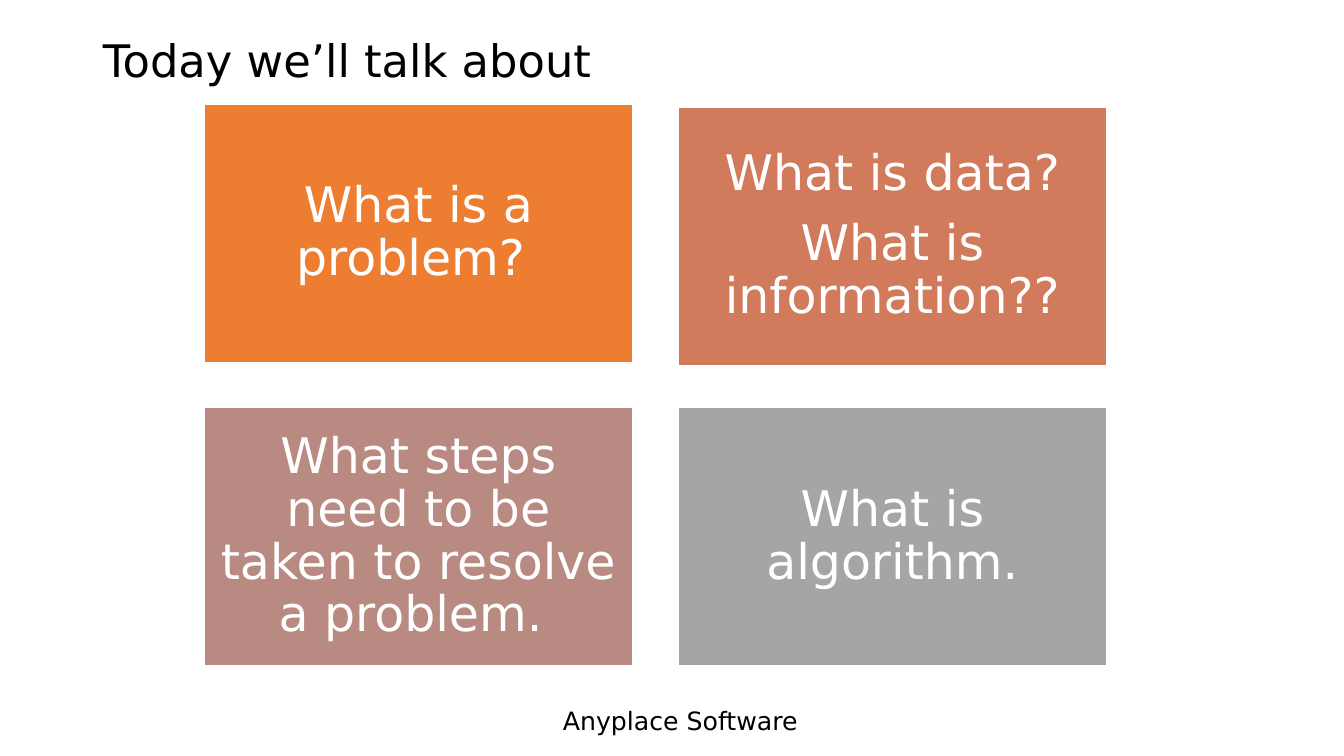
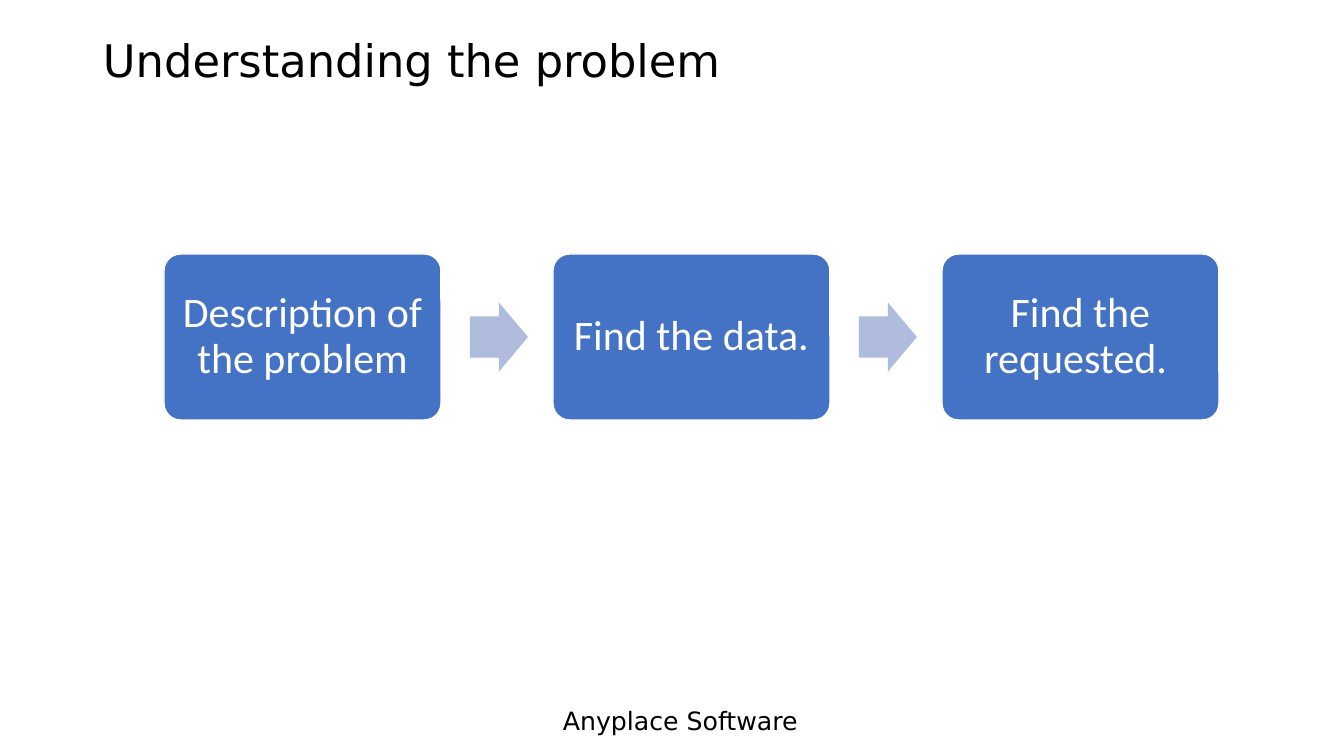
from pptx import Presentation
from pptx.dml.color import RGBColor
from pptx.enum.shapes import MSO_SHAPE
from pptx.enum.text import MSO_ANCHOR, PP_ALIGN
from pptx.util import Emu, Pt

SLIDE_W, SLIDE_H = 1344, 756
EMU_PER_PX = 12192000 / SLIDE_W

COLORS = {
    "text": "000000",
    "white": "FFFFFF",
    "orange": "ED7D31",
    "terracotta": "D17B5C",
    "rose": "B98A82",
    "gray": "A5A5A5",
    "step": "4472C4",
    "arrow": "B0BCDE",
}
MAIN_FONT, STEP_FONT = "DejaVu Sans", "Calibri"

TITLE_BOX = (93, 15, 1159, 96)
FOOTER_BOX = (553, 700, 292, 40)
FOOTER = "Anyplace Software"

TOPICS_BOX = (204, 104, 903, 562)
TOPICS = [
    ("What is a problem? ", "orange", 0),
    ("What is data?\nWhat is information??", "terracotta", 3),
    ("What steps need to be taken to resolve a problem. ", "rose", 0),
    ("What is algorithm.", "gray", 0),
]

PROCESS_BOX = (164, 254, 1055, 166)
STEPS = ["Description of the problem", "Find the data. ", "Find the requested. "]


def px(length):
    return Emu(round(length * EMU_PER_PX))


def color(name):
    return RGBColor.from_string(COLORS[name])


def write(frame, text, size, font, ink, align=PP_ALIGN.LEFT, line_spacing=1.0, space_after=0):
    frame.word_wrap = True
    frame.text = text
    for paragraph in frame.paragraphs:
        paragraph.alignment = align
        paragraph.line_spacing = line_spacing
        paragraph.space_after = Pt(space_after)
        for run in paragraph.runs:
            run.font.size = Pt(size)
            run.font.name = font
            run.font.color.rgb = color(ink)


def add_label(slide, box, text, size, anchor, line_spacing):
    frame = slide.shapes.add_textbox(*map(px, box)).text_frame
    frame.vertical_anchor = anchor
    write(frame, text, size, MAIN_FONT, "text", line_spacing=line_spacing)


def add_figure(slide, kind, box, fill, outline=None):
    figure = slide.shapes.add_shape(kind, *map(px, box))
    figure.shadow.inherit = False
    figure.fill.solid()
    figure.fill.fore_color.rgb = color(fill)
    if outline:
        figure.line.color.rgb = color(outline)
        figure.line.width = Pt(1)
    else:
        figure.line.fill.background()
    return figure


def add_card(slide, kind, box, text, fill, size, font, inset):
    """Add a filled, white-outlined block with centred white text."""
    card = add_figure(slide, kind, box, fill, "white")
    frame = card.text_frame
    frame.margin_left = frame.margin_right = px(inset)
    frame.margin_top = frame.margin_bottom = px(inset)
    frame.vertical_anchor = MSO_ANCHOR.MIDDLE
    write(frame, text, size, font, "white", PP_ALIGN.CENTER, 0.9, size * 0.35)
    return card


def add_titled_slide(deck, title):
    slide = deck.slides.add_slide(deck.slide_layouts[6])
    slide.background.fill.solid()
    slide.background.fill.fore_color.rgb = color("white")
    add_label(slide, FOOTER_BOX, FOOTER, 18, MSO_ANCHOR.TOP, 1.0)
    add_label(slide, TITLE_BOX, title, 32, MSO_ANCHOR.MIDDLE, 0.9)
    return slide


def add_topic_grid(slide, box, topics, columns=2, gap=45):
    left, top, width, height = box
    rows = len(topics) // columns
    card_w = (width - gap * (columns - 1)) / columns
    card_h = (height - gap * (rows - 1)) / rows
    for index, (topic, fill, drop) in enumerate(topics):
        row, column = divmod(index, columns)
        card_box = (left + column * (card_w + gap),
                    top + row * (card_h + gap) + drop, card_w, card_h)
        add_card(slide, MSO_SHAPE.RECTANGLE, card_box, topic, fill, 35, MAIN_FONT, 15)


def add_process(slide, box, steps, step_w=277, arrow_gap=29, arrow_w=58, arrow_h=69):
    left, top, width, height = box
    pitch = (width - step_w) / (len(steps) - 1)
    for index, step in enumerate(steps):
        step_left = left + index * pitch
        card = add_card(slide, MSO_SHAPE.ROUNDED_RECTANGLE, (step_left, top, step_w, height),
                        step, "step", 30, STEP_FONT, 12)
        card.adjustments[0] = 0.1
        if index < len(steps) - 1:
            arrow_box = (step_left + step_w + arrow_gap,
                         top + (height - arrow_h) / 2, arrow_w, arrow_h)
            arrow = add_figure(slide, MSO_SHAPE.RIGHT_ARROW, arrow_box, "arrow")
            arrow.adjustments[0] = 0.6
            arrow.adjustments[1] = 0.5


def main():
    deck = Presentation()
    deck.slide_width, deck.slide_height = px(SLIDE_W), px(SLIDE_H)
    add_topic_grid(add_titled_slide(deck, "Today we’ll talk about"), TOPICS_BOX, TOPICS)
    add_process(add_titled_slide(deck, "Understanding the problem"), PROCESS_BOX, STEPS)
    deck.save("out.pptx")


if __name__ == "__main__":
    main()
